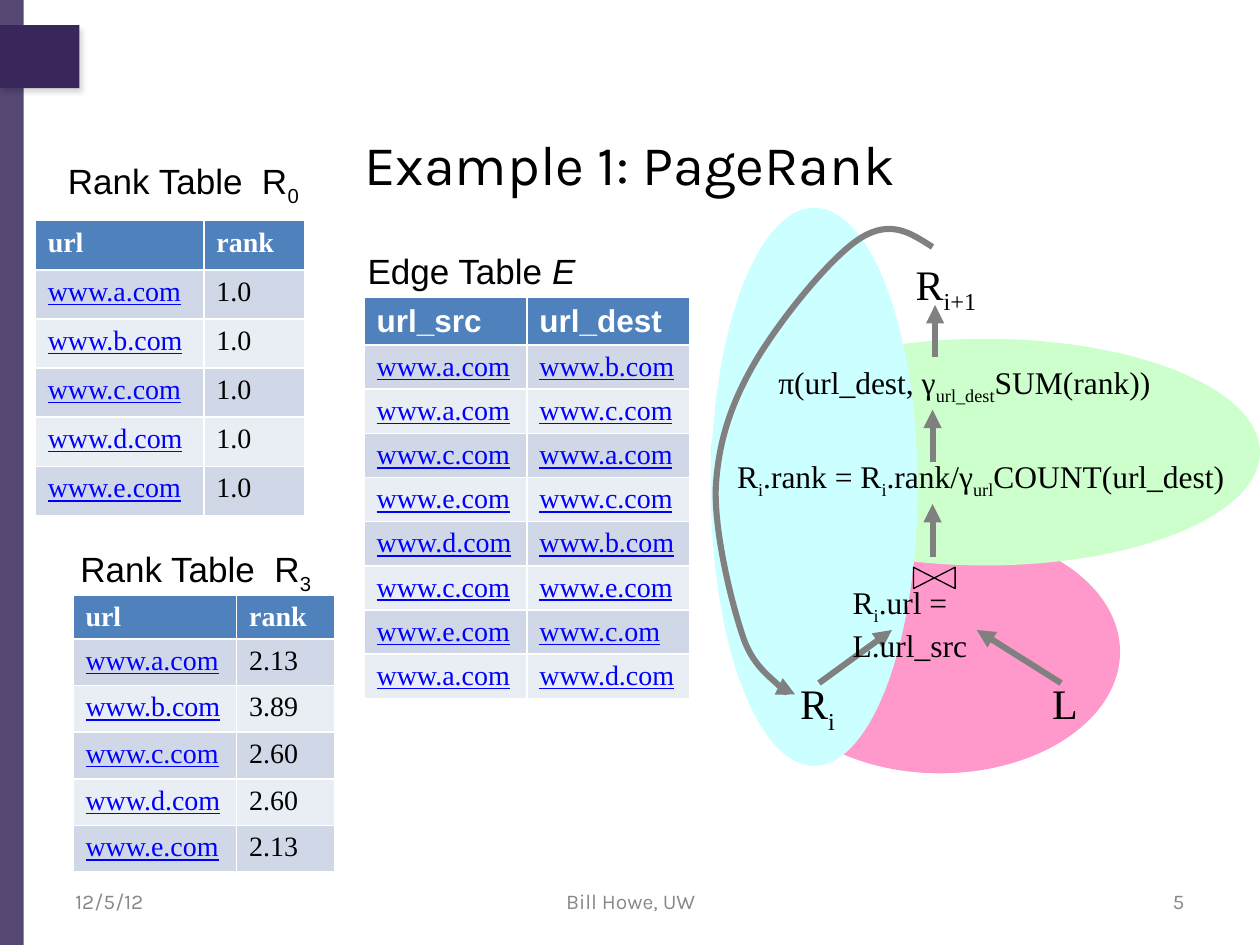
"""Build the PageRank slide: rank and edge tables beside the query plan loop."""
from lxml.etree import SubElement
from pptx import Presentation
from pptx.dml.color import RGBColor
from pptx.enum.shapes import MSO_CONNECTOR as Link, MSO_SHAPE as Preset
from pptx.enum.text import MSO_ANCHOR as Anchor, PP_ALIGN as Align
from pptx.oxml.ns import qn
from pptx.util import Cm, Pt

COLORS = {
    "purple": "39275B", "black": "000000", "white": "FFFFFF", "footer": "898989",
    "header": "4F81BD", "odd": "D0D8E8", "even": "E9EDF4", "url": "0000FF",
    "join": "FF99CC", "aggregate": "CCFFCC", "loop": "CCFFFF", "arrow": "808080",
}
RGB = {name: RGBColor.from_string(value) for name, value in COLORS.items()}
SERIF, SANS, BRAND = "Times New Roman", "Arial", "Karla"


def style_font(font, face, size, color):
    font.name, font.size = face, Pt(size)
    font.color.rgb = RGB[color]


def style_arrow(shape):
    shape.line.color.rgb = RGB["arrow"]
    shape.line.width = Pt(3.5)
    outline = shape.line._get_or_add_ln()
    SubElement(outline, qn("a:tailEnd"), type="triangle")


deck = Presentation()
deck.slide_width, deck.slide_height = Cm(25.4), Cm(19.05)
page = deck.slides.add_slide(deck.slide_layouts[6])
shapes = page.shapes

for top, width, height, alpha in [(0, 0.48, 19.05, 85), (0.51, 1.6, 1.27, 100)]:
    bar = shapes.add_shape(Preset.RECTANGLE, 0, Cm(top), Cm(width), Cm(height))
    bar.shadow.inherit = False
    bar.fill.solid()
    bar.fill.fore_color.rgb = RGB["purple"]
    bar.line.fill.background()
    if alpha < 100:
        tint = bar._element.spPr.find(f"{qn('a:solidFill')}/{qn('a:srgbClr')}")
        SubElement(tint, qn("a:alpha"), val=str(alpha * 1000))
    else:
        effects = bar._element.spPr.find(qn("a:effectLst"))
        shadow = SubElement(effects, qn("a:outerShdw"), blurRad=str(Pt(3)),
                            dist=str(Pt(3)), dir="3600000")
        shade = SubElement(shadow, qn("a:srgbClr"), val=COLORS["black"])
        SubElement(shade, qn("a:alpha"), val="15000")

sites = [f"www.{letter}.com" for letter in "abcde"]
start_ranks = ["1.0"] * 5
final_ranks = ["2.13", "3.89", "2.60", "2.60", "2.13"]
edges = [
    ("www.a.com", "www.b.com"), ("www.a.com", "www.c.com"),
    ("www.c.com", "www.a.com"), ("www.e.com", "www.c.com"),
    ("www.d.com", "www.b.com"), ("www.c.com", "www.e.com"),
    ("www.e.com", "www.c.om"), ("www.a.com", "www.d.com"),
]
rank_head = ("url", "rank")
tables = [
    (0.71, 4.45, (3.4, 2.03), 0.99, 0.99, SERIF, 16,
     [rank_head, *zip(sites, start_ranks)]),
    (7.34, 5.99, (3.28, 3.28), 0.92, 0.89, SANS, 18,
     [("url_src", "url_dest"), *edges]),
    (1.47, 11.99, (3.3, 1.98), 0.89, 0.94, SERIF, 16,
     [rank_head, *zip(sites, final_ranks)]),
]
for left, top, widths, head_height, row_height, head_face, head_size, rows in tables:
    height = head_height + row_height * (len(rows) - 1)
    table = shapes.add_table(len(rows), 2, Cm(left), Cm(top),
                             Cm(sum(widths)), Cm(height)).table
    for column, width in zip(table.columns, widths):
        column.width = Cm(width)
    for index, row in enumerate(rows):
        table.rows[index].height = Cm(row_height if index else head_height)
        for position, text in enumerate(row):
            cell = table.cell(index, position)
            cell.fill.solid()
            band = "odd" if index % 2 else "even"
            cell.fill.fore_color.rgb = RGB[band if index else "header"]
            cell.text_frame.text = text
            font = cell.text_frame.paragraphs[0].runs[0].font
            font.bold = index == 0
            if index == 0:
                style_font(font, head_face, head_size, "white")
            else:
                is_url = text.startswith("www.")
                style_font(font, SERIF, 16, "url" if is_url else "black")
                font.underline = is_url

ellipses = [
    (15.32, 10.69, 7.26, 4.9, "join"),
    (14.33, 6.83, 11.07, 4.57, "aggregate"),
    (14.33, 4.19, 4.17, 11.25, "loop"),
]
for left, top, width, height, color in ellipses:
    ellipse = shapes.add_shape(Preset.OVAL, Cm(left), Cm(top), Cm(width), Cm(height))
    ellipse.shadow.inherit = False
    ellipse.fill.solid()
    ellipse.fill.fore_color.rgb = RGB[color]
    ellipse.line.fill.background()

bowtie = shapes.add_shape(Preset.FLOWCHART_COLLATE, Cm(18.62), Cm(11.23), Cm(0.43), Cm(0.84))
bowtie.rotation = 270
bowtie.shadow.inherit = False
bowtie.fill.background()
bowtie.line.color.rgb = RGB["black"]
bowtie.line.width = Pt(0.75)

arrows = [
    (21.39, 13.77, 19.69, 12.7), (16.51, 13.77, 17.98, 12.7),
    (18.8, 11.23, 18.8, 10.16), (18.8, 9.32, 18.8, 8.26),
    (18.85, 7.19, 18.85, 6.15),
]
for ends in arrows:
    arrow = shapes.add_connector(Link.STRAIGHT, *map(Cm, ends))
    style_arrow(arrow)
    SubElement(arrow._element.spPr, qn("a:effectLst"))

loop_points = [
    (18.8, 4.98),
    (18.36, 4.7), (17.96, 4.42), (17.35, 4.8),
    (16.74, 5.18), (15.7, 6.48), (15.21, 7.32),
    (14.73, 8.15), (14.48, 8.92), (14.43, 9.83),
    (14.4, 10.72), (14.73, 12.09), (14.96, 12.78),
    (15.16, 13.44), (15.57, 13.67), (15.75, 13.87),
    (15.93, 14.07), (15.98, 14.05), (16.03, 14.0),
]
start, *controls = [(Cm(x), Cm(y)) for x, y in loop_points]
builder = shapes.build_freeform(*start)
builder.add_line_segments(controls, close=False)
loop = builder.convert_to_shape()
loop.shadow.inherit = False
loop.fill.background()
style_arrow(loop)
outline = next(loop._element.iter(qn("a:path")))
segments = outline.findall(qn("a:lnTo"))
for first in range(0, len(segments), 3):
    curve = SubElement(outline, qn("a:cubicBezTo"))
    for segment in segments[first:first + 3]:
        curve.append(segment[0])
        outline.remove(segment)

title_look = (BRAND, 32, "black", Anchor.MIDDLE)
footer_look = (BRAND, 12, "footer", Anchor.MIDDLE)
label_look = (SANS, 20, "black", Anchor.TOP)
node_look = (SERIF, 24, "black", Anchor.TOP)
formula_look = (SERIF, 18, "black", Anchor.TOP)
texts = [
    (1.27, 2.11, 22.86, 2.34, "Example 1: PageRank", title_look, Align.CENTER),
    (1.27, 17.65, 5.92, 1.02, "12/5/12", footer_look, Align.LEFT),
    (8.69, 17.65, 8.05, 1.02, "Bill Howe, UW", footer_look, Align.CENTER),
    (18.21, 17.65, 5.92, 1.02, "5", footer_look, Align.RIGHT),
    (1.12, 3.1, 6.58, 1.09, "Rank Table  R|0", label_look, Align.LEFT),
    (7.16, 4.9, 6.58, 1.09, "Edge Table |E", label_look, Align.LEFT),
    (1.37, 10.92, 6.58, 1.09, "Rank Table  R|3", label_look, Align.LEFT),
    (15.88, 13.54, 1.5, 1.27, "R|i", node_look, Align.LEFT),
    (20.96, 13.54, 1.27, 1.27, "L", node_look, Align.LEFT),
    (18.21, 5.08, 2.34, 1.27, "R|i+1", node_look, Align.LEFT),
    (14.61, 9.09, 10.8, 1.02, "R|i|.rank = R|i|.rank/γ|url|COUNT(url_dest)",
     formula_look, Align.LEFT),
    (16.94, 11.63, 4.75, 1.02, "R|i|.url = L.url_src", formula_look, Align.LEFT),
    (15.44, 7.19, 8.51, 1.02, "π(url_dest, γ|url_dest|SUM(rank))",
     formula_look, Align.LEFT),
]
for left, top, width, height, text, (face, size, color, anchor), align in texts:
    box = shapes.add_textbox(Cm(left), Cm(top), Cm(width), Cm(height))
    box.text_frame.word_wrap = True
    box.text_frame.vertical_anchor = anchor
    para = box.text_frame.paragraphs[0]
    para.alignment = align
    for order, piece in enumerate(text.split("|")):
        span = para.add_run()
        span.text = piece
        style_font(span.font, face, size, color)
        if piece == "E":
            span.font.italic = True
        elif order % 2:
            span._r.get_or_add_rPr().set("baseline", "-25000")

deck.save("out.pptx")
